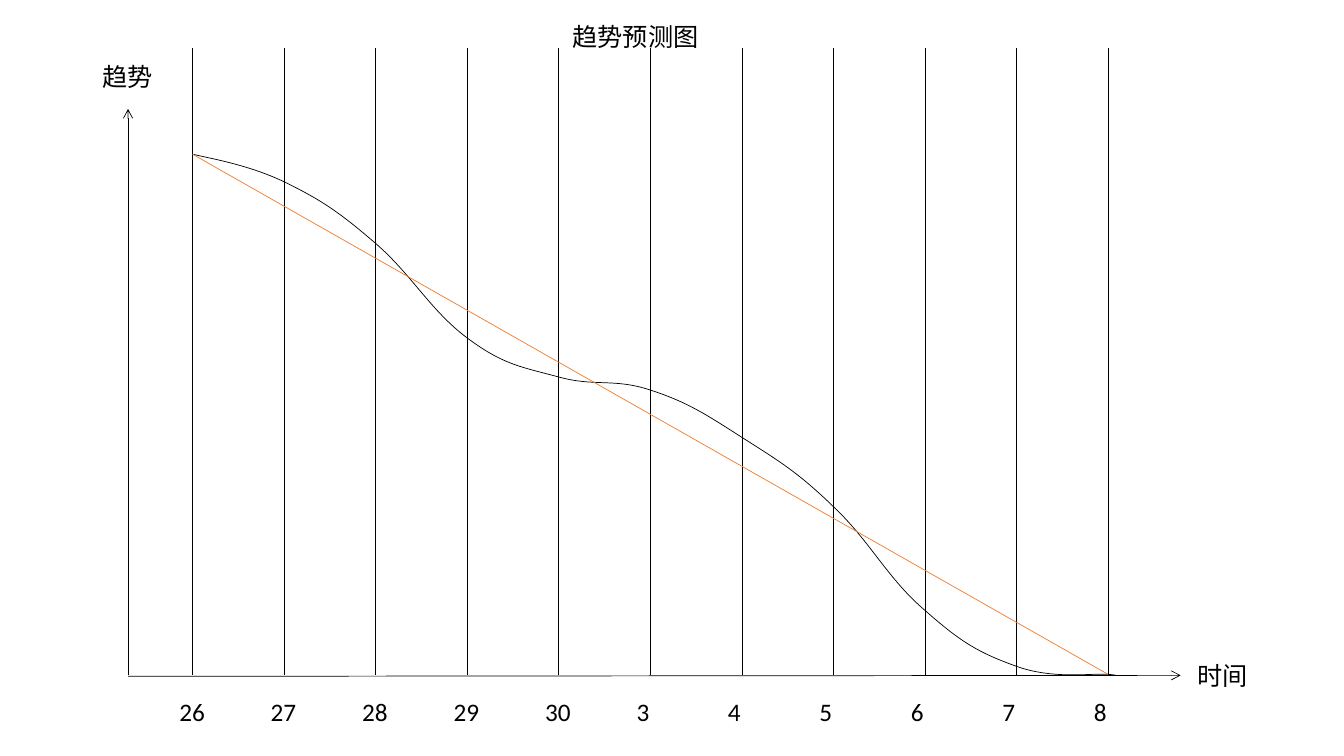
from lxml import etree
from pptx import Presentation
from pptx.dml.color import RGBColor
from pptx.enum.shapes import MSO_CONNECTOR as CONN
from pptx.enum.text import MSO_AUTO_SIZE as AUTO
from pptx.oxml.ns import qn
from pptx.util import Pt

PX = 9144
BLACK = RGBColor(0x00, 0x00, 0x00)
ORANGE = RGBColor(0xED, 0x7D, 0x31)

prs = Presentation()
prs.slide_width, prs.slide_height = 1333 * PX, 750 * PX
s = prs.slides.add_slide(prs.slide_layouts[6])


def add_line(x1, y1, x2, y2, color=BLACK, arrow=False):
    ends = [round(v * PX) for v in (x1, y1, x2, y2)]
    line = s.shapes.add_connector(CONN.STRAIGHT, *ends)
    line.line.color.rgb = color
    line.line.width = Pt(0.5)
    spPr = line._element.spPr
    if arrow:
        etree.SubElement(spPr.find(qn("a:ln")), qn("a:tailEnd"), type="arrow")
    etree.SubElement(spPr, qn("a:effectLst"))


def add_label(text, x, y, w, wrap=False):
    tf = s.shapes.add_textbox(round(x * PX), y * PX, w * PX, 40 * PX).text_frame
    tf.word_wrap = wrap
    tf.auto_size = AUTO.SHAPE_TO_FIT_TEXT
    r = tf.paragraphs[0].add_run()
    r.text = text
    r.font.size = Pt(18)
    r.font.name = "Calibri"
    r.font.color.rgb = BLACK


add_line(127, 670, 127, 108, arrow=True)
add_line(127, 671, 1171, 670, arrow=True)

days = ["26", "27", "28", "29", "30", "3", "4", "5", "6", "7", "8"]
for i, day in enumerate(days):
    add_label(day, 168 + 907 * i / 10, 686, 47, wrap=True)
add_label("时间", 1178, 650, 70)
add_label("趋势", 92, 56, 70)
for i in range(len(days)):
    x = 191 + 908 * i / 10
    add_line(x, 48, x, 670)

curve = [
    (207, 157), (245, 163), (281, 180),
    (318, 198), (336, 210), (372, 241),
    (408, 272), (427, 308), (463, 335),
    (499, 362), (517, 364), (554, 374),
    (590, 384), (609, 375), (645, 387),
    (682, 399), (700, 411), (736, 434),
    (772, 457), (791, 468), (827, 503),
    (863, 537), (881, 575), (918, 606),
    (954, 638), (972, 648), (1008, 661),
    (1044, 674), (1080, 668), (1098, 669),
    (1116, 671), (1100, 669), (1099, 669),
]
builder = s.shapes.build_freeform(191, 153, scale=PX)
builder.add_line_segments(curve, close=False)
trend = builder.convert_to_shape()
trend.shadow.inherit = False
trend.fill.background()
trend.line.color.rgb = BLACK
trend.line.width = Pt(0.5)

outline = next(trend._element.iter(qn("a:path")))
segments = outline.findall(qn("a:lnTo"))
for i in range(0, len(segments), 3):
    bezier = etree.SubElement(outline, qn("a:cubicBezTo"))
    for segment in segments[i:i + 3]:
        bezier.append(segment[0])
        outline.remove(segment)
outline.set("w", "916")
outline.set("h", "517")
trend.width, trend.height = 916 * PX, 517 * PX

add_line(191, 153, 1099, 669, ORANGE)
add_label("趋势预测图", 558, 16, 145)

prs.save("out.pptx")
